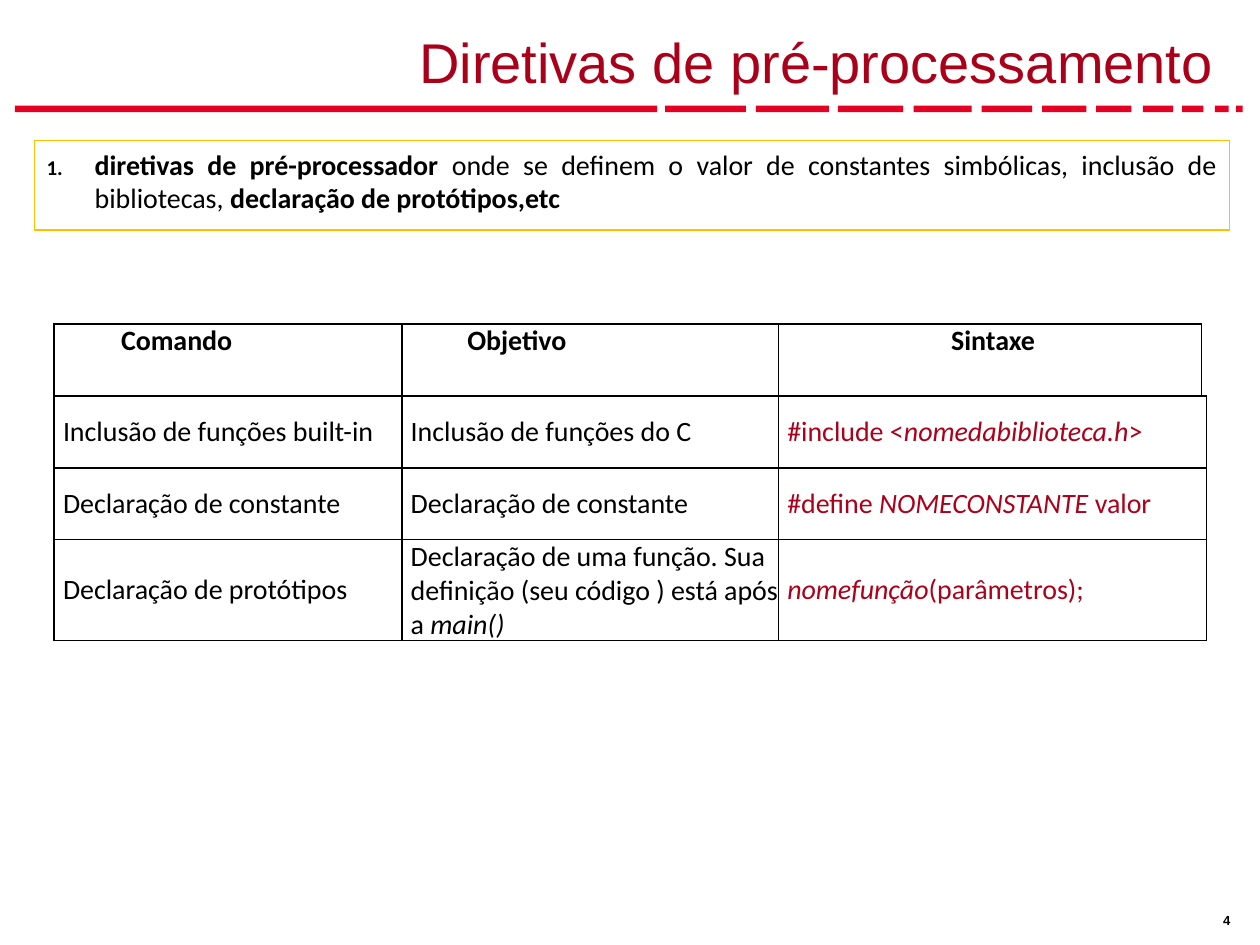
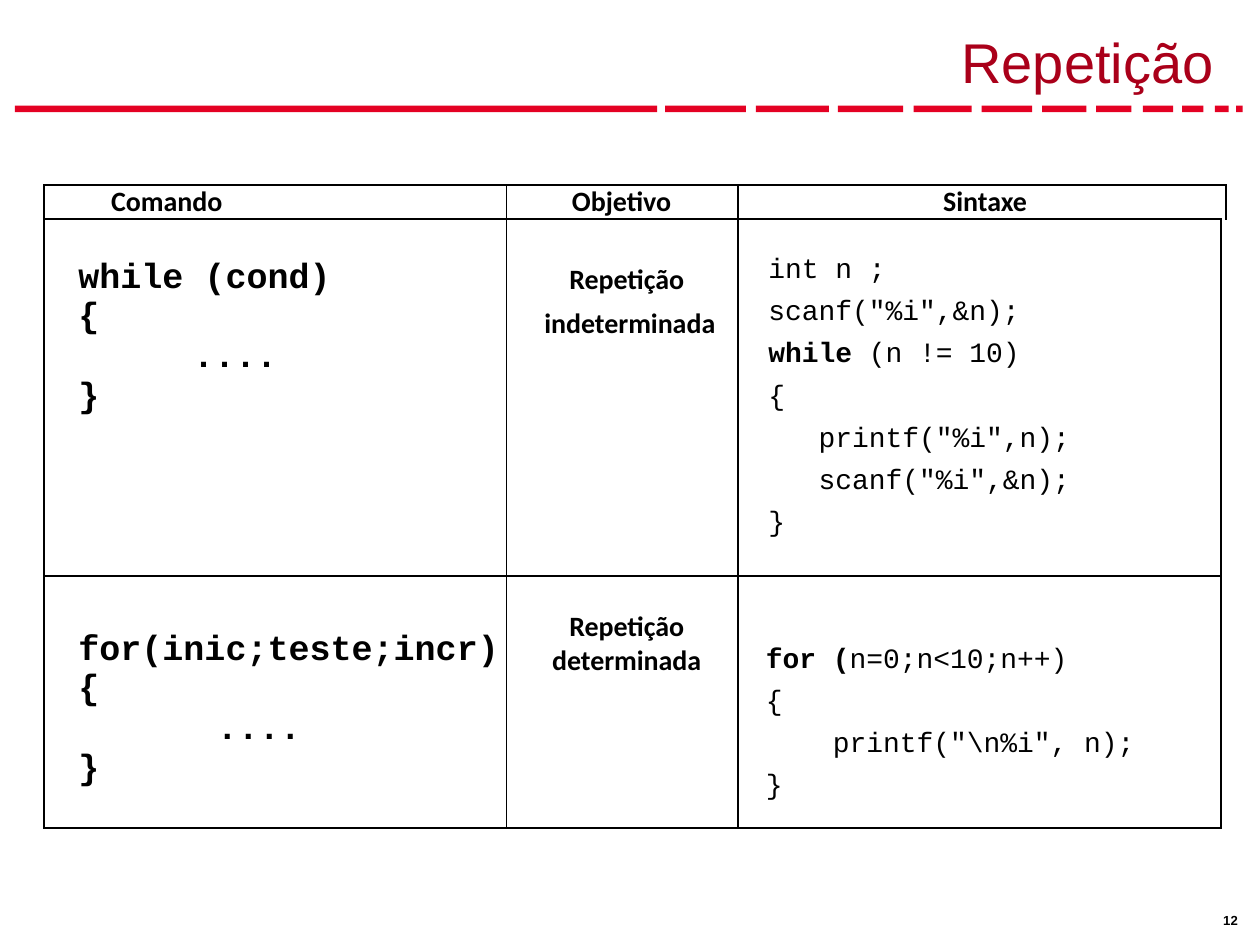
from pptx import Presentation
from pptx.dml.color import RGBColor
from pptx.enum.shapes import MSO_SHAPE
from pptx.enum.text import MSO_ANCHOR, PP_ALIGN
from pptx.oxml import parse_xml
from pptx.oxml.ns import nsdecls
from pptx.util import Cm, Pt

BLACK, WHITE = "000000", "FFFFFF"
BAND_RED, TITLE_RED, CODE_RED, BOX_GOLD = "E40123", "AA001A", "AB011A", "FFC000"
BAND_DASHES = [
    (0.3, 12.95), (13.41, 1.63), (15.24, 1.47), (16.89, 1.32),
    (18.42, 1.17), (19.79, 1.02), (21.01, 0.89), (22.1, 0.71),
    (23.04, 0.61), (23.83, 0.43), (24.49, 0.28), (24.92, 0.13),
]
BODY = {"name": "Calibri", "size": Pt(16), "bold": False, "color": BLACK}
HEAD = {**BODY, "bold": True}
SYNTAX = {**BODY, "color": CODE_RED}
CODE = {**BODY, "name": "Courier New"}
COMMAND = {**HEAD, "name": "Courier New", "size": Pt(20)}
BOLD, PLAIN, ITALIC = {"bold": True}, {"bold": False}, {"italic": True}


def color(value):
    return RGBColor.from_string(value)


def apply(target, values):
    for name, value in values.items():
        setattr(target, name, value)


def line(*runs, indent=0, first=0, before=0, align=None):
    return {"runs": runs, "indent": indent, "first": first,
            "before": before, "align": align}


def cell(lines, font=BODY, top=0, anchor=MSO_ANCHOR.TOP, sides="LRTB", columns=1):
    return {"lines": lines, "font": font, "top": top, "anchor": anchor,
            "sides": sides, "columns": columns}


def header(text, indent, align=None, columns=1):
    return cell([line(text, indent=indent, align=align)], HEAD, columns=columns)


def entry(*runs, font=BODY, columns=1):
    return cell([line(*runs, indent=0.18)], font,
                anchor=MSO_ANCHOR.MIDDLE, columns=columns)


def command(start, dots_indent, top):
    return cell([line(start, indent=0.69), line("{", indent=0.69),
                 line("   ....", indent=0.69, first=dots_indent),
                 line("}", indent=0.69)], COMMAND, top)


def purpose(words, top, before=0):
    gaps = [0] + [before] * (len(words) - 1)
    return cell([line(word, indent=0.18, before=gap, align=PP_ALIGN.CENTER)
                 for word, gap in zip(words, gaps)], HEAD, top)


def code(rows, indent, top=0):
    return cell([line(*runs, indent=indent, before=6 if number else 0)
                 for number, runs in enumerate(rows)],
                CODE, top, MSO_ANCHOR.MIDDLE)


class Painter:
    def __init__(self):
        self.deck = Presentation()
        apply(self.deck, {"slide_width": Cm(25.4), "slide_height": Cm(19.05)})
        self.page = None

    def start_page(self, title, number):
        self.page = self.deck.slides.add_slide(self.deck.slide_layouts[6])
        for left, width in BAND_DASHES:
            self.rectangle((left, 2.13, width, 0.13), fill=BAND_RED)
        self.text((24.46, 18.29, 0.84, 0.51), [line(number)],
                  {**HEAD, "name": "Arial", "size": Pt(7.5)}, inset=(0.2, 0.1))
        self.text((0.79, 0.2, 23.93, 1.85), [line(title, align=PP_ALIGN.RIGHT)],
                  {"name": "Arial", "size": Pt(32), "color": TITLE_RED},
                  MSO_ANCHOR.BOTTOM)

    def rectangle(self, place, fill=None, outline=None):
        box = self.page.shapes.add_shape(MSO_SHAPE.RECTANGLE, *map(Cm, place))
        box.shadow.inherit = False
        if fill:
            box.fill.solid()
            box.fill.fore_color.rgb = color(fill)
        else:
            box.fill.background()
        if outline:
            box.line.color.rgb = color(outline)
            box.line.width = Pt(0.75)
        else:
            box.line.fill.background()
        return box

    def text(self, place, lines, font, anchor=MSO_ANCHOR.TOP, inset=(0.25, 0.13)):
        box = self.page.shapes.add_textbox(*map(Cm, place))
        self.frame(box.text_frame, lines, font, anchor, inset)

    def frame(self, frame, lines, font, anchor=MSO_ANCHOR.TOP, inset=(0.25, 0.13)):
        side, edge = map(Cm, inset)
        apply(frame, {"word_wrap": True, "vertical_anchor": anchor,
                      "margin_left": side, "margin_right": side,
                      "margin_top": edge, "margin_bottom": edge})
        self.add_lines(frame, lines, font)

    def add_lines(self, frame, lines, font):
        for number, item in enumerate(lines):
            para = frame.add_paragraph() if number else frame.paragraphs[0]
            properties = para._p.get_or_add_pPr()
            properties.set("marL", str(Cm(item["indent"])))
            properties.set("indent", str(Cm(item["first"])))
            apply(para, {"alignment": item["align"] or PP_ALIGN.LEFT,
                         "space_before": Pt(item["before"])})
            for run in item["runs"]:
                words, changes = (run, {}) if isinstance(run, str) else run
                values = {**font, **changes}
                span = para.add_run()
                span.text = words
                span.font.color.rgb = color(values.pop("color"))
                apply(span.font, values)

    def numbered_box(self, place, item, font):
        box = self.rectangle(place, outline=BOX_GOLD)
        self.frame(box.text_frame, [item], font)
        properties = box.text_frame.paragraphs[0]._p.get_or_add_pPr()
        for element in (
                f'<a:buClr {nsdecls("a")}><a:srgbClr val="{BLACK}"/></a:buClr>',
                f'<a:buSzPct {nsdecls("a")} val="75000"/>',
                f'<a:buAutoNum {nsdecls("a")} type="arabicPeriod"/>'):
            properties.append(parse_xml(element))

    def border(self, target, sides):
        properties = target._tc.get_or_add_tcPr()
        for side in "LRTB":
            paint = (f'<a:solidFill><a:srgbClr val="{BLACK}"/></a:solidFill>'
                     if side in sides else "<a:noFill/>")
            properties.append(parse_xml(
                f'<a:ln{side} {nsdecls("a")} w="12700">{paint}</a:ln{side}>'))

    def table(self, left, top, widths, heights, rows):
        grid = self.page.shapes.add_table(
            len(heights), len(widths), Cm(left), Cm(top),
            Cm(sum(widths)), Cm(sum(heights))).table
        apply(grid, {"first_row": False, "horz_banding": False})
        for column, width in zip(grid.columns, widths):
            column.width = Cm(width)
        for row, height in zip(grid.rows, heights):
            row.height = Cm(height)
        for row_number, row in enumerate(rows):
            for column_number, item in enumerate(row):
                last = column_number + item["columns"] - 1
                target = grid.cell(row_number, column_number)
                for number in range(column_number, last + 1):
                    self.style_cell(grid.cell(row_number, number), item)
                if last > column_number:
                    target.merge(grid.cell(row_number, last))
                self.add_lines(target.text_frame, item["lines"], item["font"])

    def style_cell(self, target, item):
        apply(target, {"margin_left": 0, "margin_right": 0, "margin_bottom": 0,
                       "margin_top": Cm(item["top"]),
                       "vertical_anchor": item["anchor"]})
        self.border(target, item["sides"])
        target.fill.solid()
        target.fill.fore_color.rgb = color(WHITE)


def directives(painter):
    painter.start_page("Diretivas de pré-processamento", "4")
    painter.table(1.09, 6.53, [7.01, 7.59, 8.53, 0.08], [1.45] * 3 + [2.03], [
        [header("Comando", 1.35), header("Objetivo", 1.32),
         header("Sintaxe", 0.13, PP_ALIGN.CENTER), cell([], sides="LB")],
        [entry("Inclusão de funções built-in"), entry("Inclusão de funções do C"),
         entry("#include <", ("nomedabiblioteca.h", ITALIC), ">",
               font=SYNTAX, columns=2)],
        [entry("Declaração de constante"), entry("Declaração de constante"),
         entry("#define ", ("NOMECONSTANTE", ITALIC), " valor",
               font=SYNTAX, columns=2)],
        [entry("Declaração de protótipos"),
         entry("Declaração de uma função. Sua definição (seu código ) está após a ",
               ("main()", ITALIC)),
         entry(("nomefunção", ITALIC), "(parâmetros);", font=SYNTAX, columns=2)],
    ])
    painter.numbered_box((0.69, 2.84, 24.1, 1.8), line(
        "diretivas de pré-processador",
        (" onde se definem o valor de constantes simbólicas, inclusão de bibliotecas, ",
         PLAIN),
        "declaração de protótipos,etc",
        indent=0.97, first=-0.97, align=PP_ALIGN.JUSTIFY), HEAD)


def repetition(painter):
    painter.start_page("Repetição", "12")
    painter.table(0.89, 3.73, [9.32, 4.67, 9.73, 0.08], [0.69, 7.19, 5.08], [
        [header("Comando", 1.35), header("Objetivo", 1.32),
         header("Sintaxe", 0.13, PP_ALIGN.CENTER, columns=2)],
        [command("while (cond)", 1.04, 0.8),
         purpose(["Repetição", " indeterminada"], 0.88, 5.5),
         code([["int n ;"], ['scanf("%i",&n);'], [("while ", BOLD), "(n != 10)"],
               ["{"], ['   printf("%i",n);'], ['   scanf("%i",&n);'], ["}"]], 0.61),
         cell([], sides="L")],
        [command("for(inic;teste;incr)", 1.52, 1.11),
         purpose(["Repetição", " determinada "], 0.69),
         code([[("for (", BOLD), "n=0;n<10;n++)"], ["{"],
               ['    printf("\\n%i", n);'], ["}"]], 0.56, 0.89),
         cell([], sides="L")],
    ])


def main():
    painter = Painter()
    directives(painter)
    repetition(painter)
    painter.deck.save("out.pptx")


if __name__ == "__main__":
    main()
